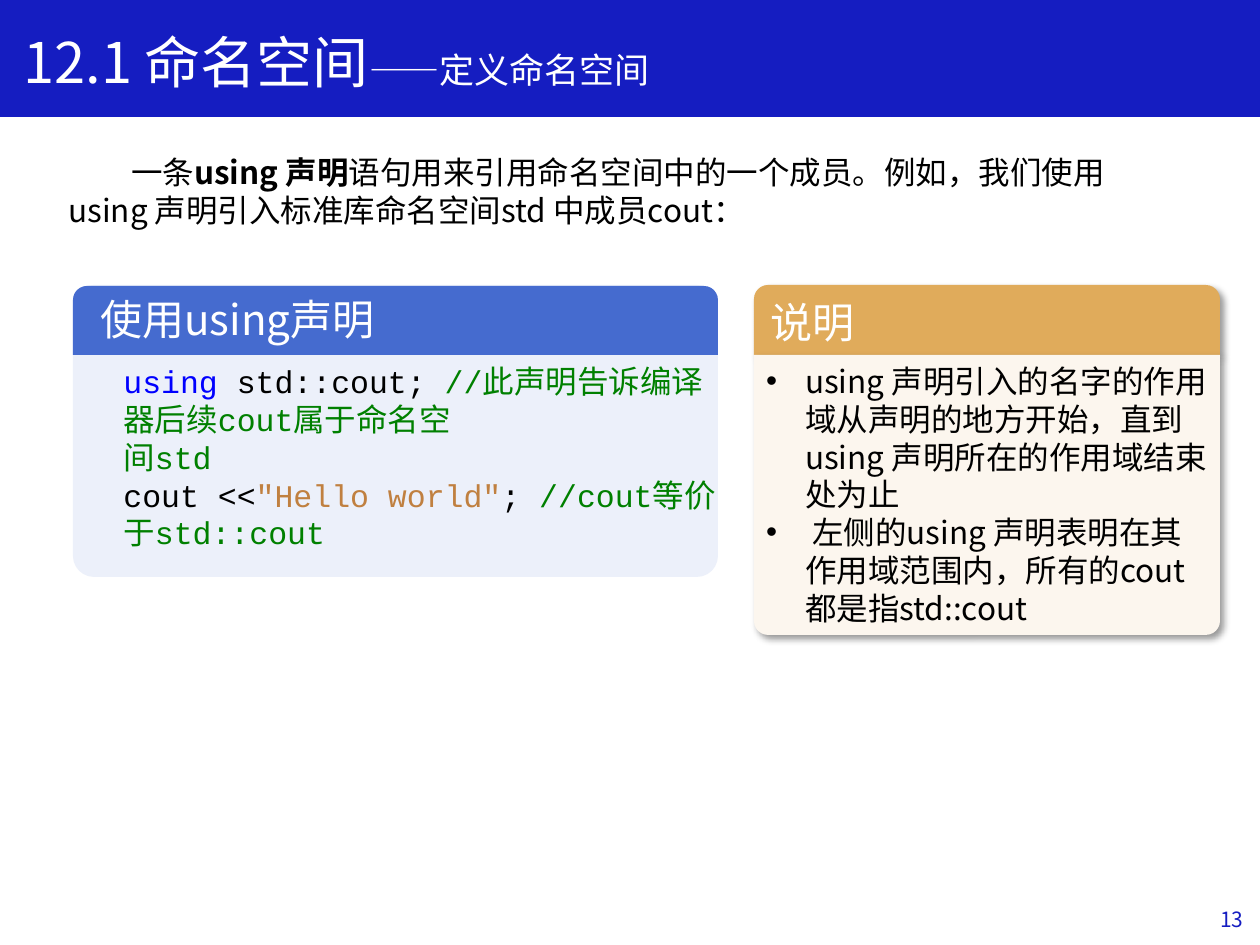
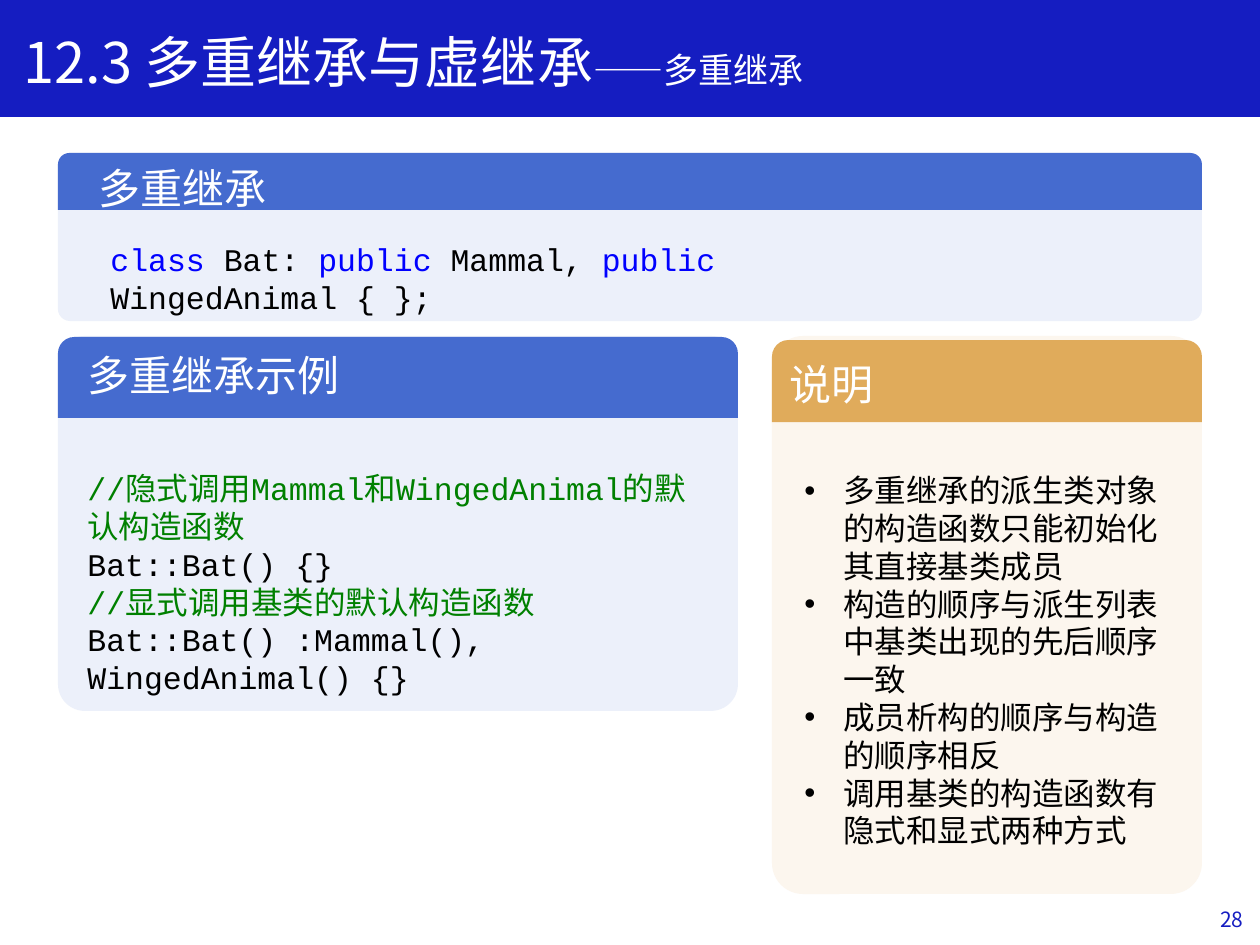
from dataclasses import dataclass
from itertools import groupby

from lxml import etree
from pptx import Presentation, util as u
from pptx.dml.color import RGBColor
from pptx.enum import shapes, text
from pptx.oxml.ns import qn

PX = 914400 / 126
WIDTH, HEIGHT = 1260, 945


@dataclass(frozen=True)
class Theme:
    sans: str = "Noto Sans CJK SC"
    mono: str = "Courier New"
    bullet: str = "Arial"
    brand: str = "151DC1"
    code_head: str = "456BCF"
    code_body: str = "ECF0FA"
    note_head: str = "E0AB5B"
    note_body: str = "FCF6EE"
    leading: float = 1.2
    head_corner: float = 0.201
    body_corner: float = 0.072
    list_indent: int = 39
    first_indent: int = 63


THEME = Theme()

# Text styles: size, colour, font, bold
STYLES = {
    "title": (32, "FFFFFF", THEME.sans, False),
    "subtitle": (20, "FFFFFF", THEME.sans, False),
    "heading": (24, "FFFFFF", THEME.sans, False),
    "body": (18, "000000", THEME.sans, False),
    "strong": (18, "000000", THEME.sans, True),
    "number": (12, THEME.brand, THEME.sans, False),
    "code": (18, "000000", THEME.mono, False),
    "keyword": (18, "0000FF", THEME.mono, False),
    "comment": (18, "008000", THEME.mono, False),
    "string": (18, "C08040", THEME.mono, False),
}

# Content: every paragraph is a list of (style, words); boxes are left, top, width, height
SLIDES = [
    {
        "number": "13",
        "title": ("12.1 命名空间", "——定义命名空间"),
        "intro": {
            "box": (56, 147, 1148, 89),
            "paras": [
                [("body", "一条"), ("strong", "using 声明"),
                 ("body", "语句用来引用命名空间中的一个成员。例如，我们使用")],
                [("body", "using 声明引入标准库命名空间std 中成员cout：")],
            ],
        },
        "notes": [{
            "head": (754, 285, 466, 70), "body": (754, 355, 466, 280),
            "raised": True,
            "items": [
                "using 声明引入的名字的作用域从声明的地方开始，直到using 声明所在的作用域结束处为止",
                " 左侧的using 声明表明在其作用域范围内，所有的cout 都是指std::cout",
            ],
        }],
        "codes": [{
            "head": (73, 286, 645, 69), "body": (73, 285, 645, 292),
            "heading": "使用using声明", "heading_box": (88, 287, 481, 92),
            "code_box": (111, 356, 630, 203),
            "lines": [
                [("keyword", "using "), ("code", "std::cout; "),
                 ("comment", "//此声明告诉编译器后续cout属于命名空")],
                [("comment", "间std")],
                [("code", "cout <<"), ("string", '"Hello world"'), ("code", "; "),
                 ("comment", "//cout等价于std::cout")],
            ],
        }],
    },
    {
        "number": "28",
        "title": ("12.3 多重继承与虚继承", "——多重继承"),
        "notes": [{
            "head": (772, 340, 430, 82), "body": (772, 336, 430, 558),
            "list_box": (792, 465, 398, 394),
            "items": [
                "多重继承的派生类对象的构造函数只能初始化其直接基类成员",
                "构造的顺序与派生列表中基类出现的先后顺序一致",
                "成员析构的顺序与构造的顺序相反",
                "调用基类的构造函数有隐式和显式两种方式",
            ],
        }],
        "codes": [
            {
                "head": (58, 337, 680, 81), "body": (58, 336, 680, 375),
                "heading": "多重继承示例", "heading_box": (75, 343, 508, 49),
                "code_box": (75, 463, 630, 204),
                "lines": [
                    [("comment", "//隐式调用Mammal和WingedAnimal的默认构造函数")],
                    [("code", "Bat::Bat() {}")],
                    [("comment", "//显式调用基类的默认构造函数")],
                    [("code", "Bat::Bat() :Mammal(), WingedAnimal() {}")],
                ],
            },
            {
                "head": (58, 153, 1144, 57), "body": (58, 153, 1144, 168),
                "heading": "多重继承", "heading_box": (86, 156, 854, 63),
                "code_box": (98, 234, 745, 50),
                "lines": [
                    [("keyword", "class "), ("code", "Bat: "), ("keyword", "public "),
                     ("code", "Mammal, "), ("keyword", "public "),
                     ("code", "WingedAnimal { };")],
                ],
            },
        ],
    },
]


def emu(box):
    return [round(value * PX) for value in box]


def is_wide(letter):
    return ord(letter) > 0x2E80


def add_span(para, style, words):
    size, color, font, bold = STYLES[style]
    span = para.add_run()
    span.text = words
    for name, value in {"size": u.Pt(size), "bold": bold, "name": font}.items():
        setattr(span.font, name, value)
    span.font.color.rgb = RGBColor.from_string(color)
    east = etree.SubElement(span.font._element, qn("a:ea"))
    east.set("typeface", THEME.sans)
    if font == THEME.mono and is_wide(words[0]):
        span.font.name = THEME.sans


def split_scripts(style, words):
    """Separate Chinese from Latin letters in monospaced text."""
    if STYLES[style][2] != THEME.mono:
        return [words]
    return ["".join(part) for _, part in groupby(words, is_wide)]


def write(shape, paras, bullet=False, first_indent=0, anchor="TOP", align="LEFT"):
    frame = shape.text_frame
    frame.word_wrap = True
    frame.vertical_anchor = getattr(text.MSO_ANCHOR, anchor)
    for index, spans in enumerate(paras):
        para = frame.paragraphs[0] if index == 0 else frame.add_paragraph()
        para.alignment = getattr(text.PP_ALIGN, align)
        props = para._p.get_or_add_pPr()
        if bullet:
            indent = round(THEME.list_indent * PX)
            props.set("marL", str(indent))
            props.set("indent", str(-indent))
            etree.SubElement(props, qn("a:buFont")).set("typeface", THEME.bullet)
            etree.SubElement(props, qn("a:buChar")).set("char", "•")
        elif first_indent and index == 0:
            props.set("indent", str(round(first_indent * PX)))
        para.line_spacing = u.Pt(THEME.leading * max(STYLES[style][0] for style, _ in spans))
        for style, words in spans:
            for part in split_scripts(style, words):
                add_span(para, style, part)


def add_text(parent, box, paras, **layout):
    shape = parent.add_textbox(*emu(box))
    write(shape, paras, **layout)
    return shape


def add_block(parent, kind, box, fill, corners=()):
    shape = parent.add_shape(getattr(shapes.MSO_SHAPE, kind), *emu(box))
    shape.shadow.inherit = False
    shape.fill.solid()
    shape.fill.fore_color.rgb = RGBColor.from_string(fill)
    shape.line.fill.background()
    for index, corner in enumerate(corners):
        shape.adjustments[index] = corner
    return shape


def add_shadow(shape):
    effects = shape._element.spPr.find(qn("a:effectLst"))
    shadow = etree.SubElement(effects, qn("a:outerShdw"), blurRad=str(u.Pt(4)),
                              dist=str(u.Pt(3)), dir="2700000", algn="tl", rotWithShape="0")
    color = etree.SubElement(shadow, qn("a:srgbClr"), val="000000")
    etree.SubElement(color, qn("a:alpha"), val="40000")


def add_head(parent, box, fill):
    return add_block(parent, "ROUND_2_SAME_RECTANGLE", box, fill, (THEME.head_corner, 0))


def add_frame(page, content):
    """Title band, title and page number."""
    band = add_block(page.shapes, "RECTANGLE", (0, 0, WIDTH, 116), THEME.brand)
    band.line.color.rgb = RGBColor.from_string(THEME.brand)
    band.line.width = u.Pt(1)
    add_text(page.shapes, (972, 894, 284, 50), [[("number", content["number"])]],
             anchor="MIDDLE", align="RIGHT")
    add_text(page.shapes, (11, 21, 1100, 81), [list(zip(("title", "subtitle"), content["title"]))])


def add_note_head(group, note):
    head = add_head(group, note["head"], THEME.note_head)
    write(head, [[("heading", "说明")]], anchor="MIDDLE")
    return head


def add_note(page, note):
    group = page.shapes.add_group_shape().shapes
    paras = [[("body", item)] for item in note["items"]]
    if note.get("raised"):
        # The body covers the shadow under the heading
        add_shadow(add_note_head(group, note))
        body = add_block(group, "ROUND_2_SAME_RECTANGLE", note["body"], THEME.note_body, (0, 0.05))
        add_shadow(body)
        body.text_frame.margin_left = body.text_frame.margin_right = round(8 * PX)
        body.text_frame.margin_top = round(7 * PX)
        write(body, paras, bullet=True)
    else:
        add_block(group, "ROUNDED_RECTANGLE", note["body"], THEME.note_body, (THEME.body_corner,))
        add_note_head(group, note)
        add_text(page.shapes, note["list_box"], paras, bullet=True)


def add_code(page, code):
    group = page.shapes.add_group_shape().shapes
    add_block(group, "ROUNDED_RECTANGLE", code["body"], THEME.code_body, (THEME.body_corner,))
    add_head(group, code["head"], THEME.code_head)
    add_text(group, code["heading_box"], [[("heading", code["heading"])]])
    add_text(page.shapes, code["code_box"], code["lines"])


def main():
    deck = Presentation()
    deck.slide_width, deck.slide_height = emu((WIDTH, HEIGHT))
    for content in SLIDES:
        page = deck.slides.add_slide(deck.slide_layouts[6])
        add_frame(page, content)
        if "intro" in content:
            add_text(page.shapes, content["intro"]["box"], content["intro"]["paras"],
                     first_indent=THEME.first_indent)
        for note in content["notes"]:
            add_note(page, note)
        for code in content["codes"]:
            add_code(page, code)
    deck.save("out.pptx")


if __name__ == "__main__":
    main()
